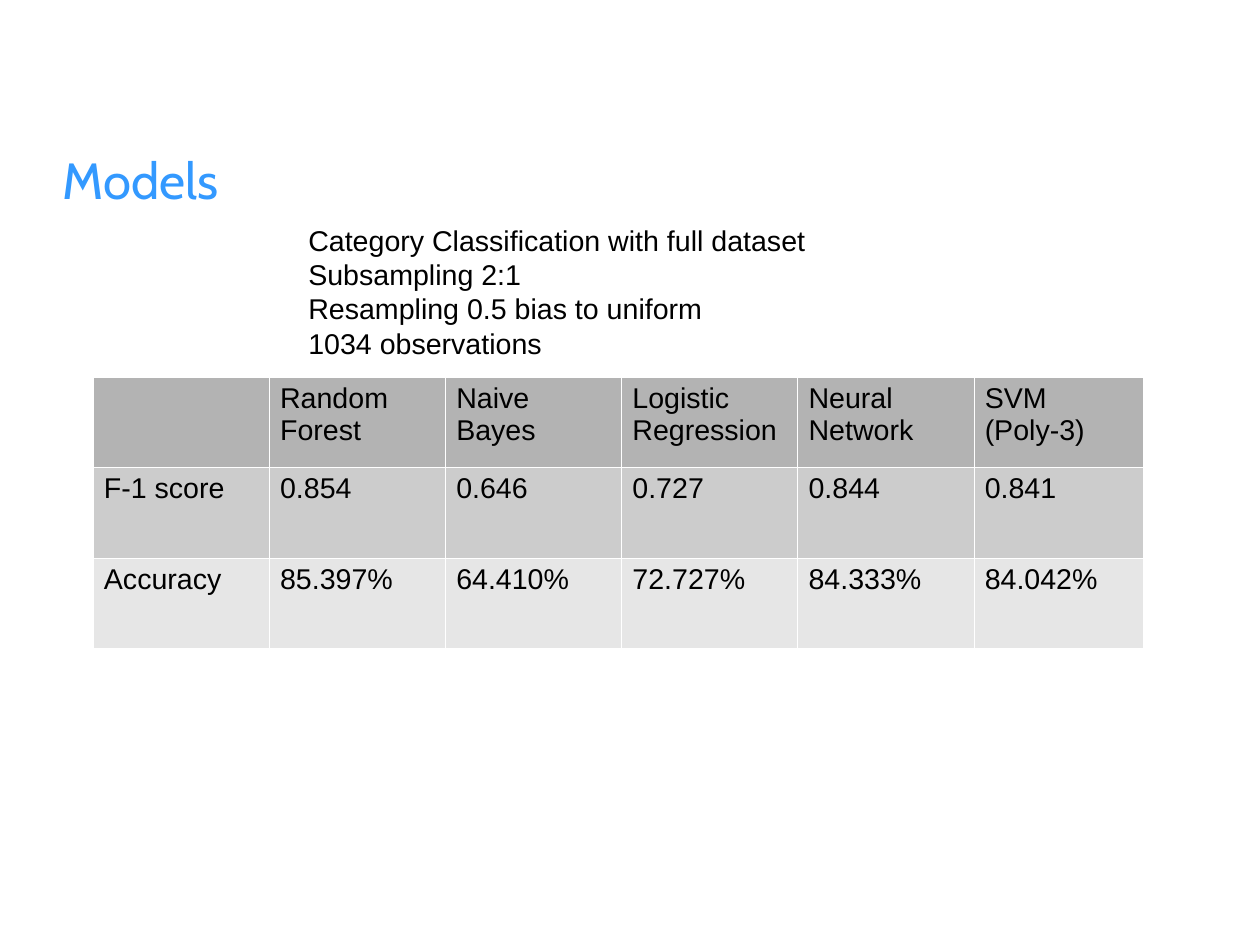
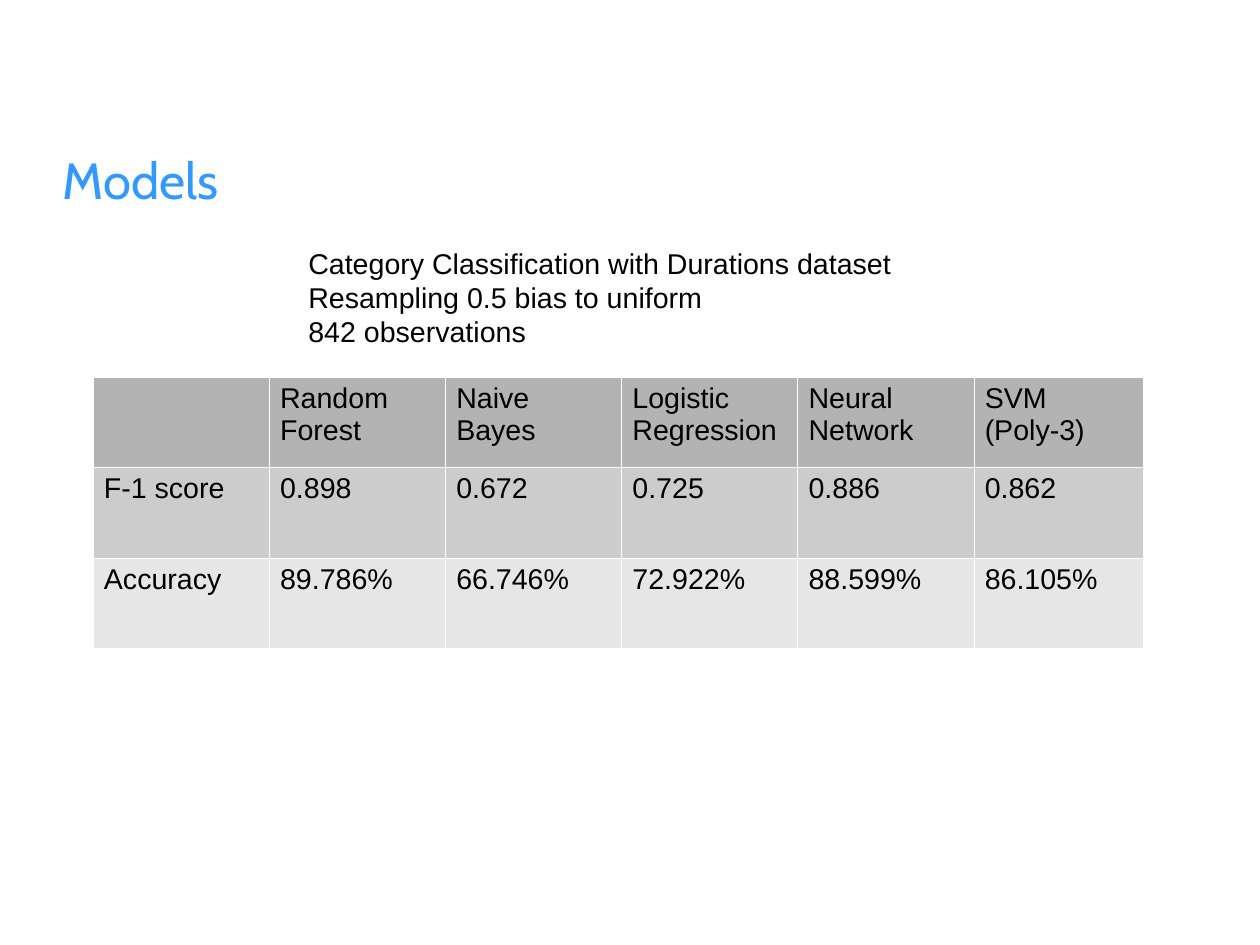
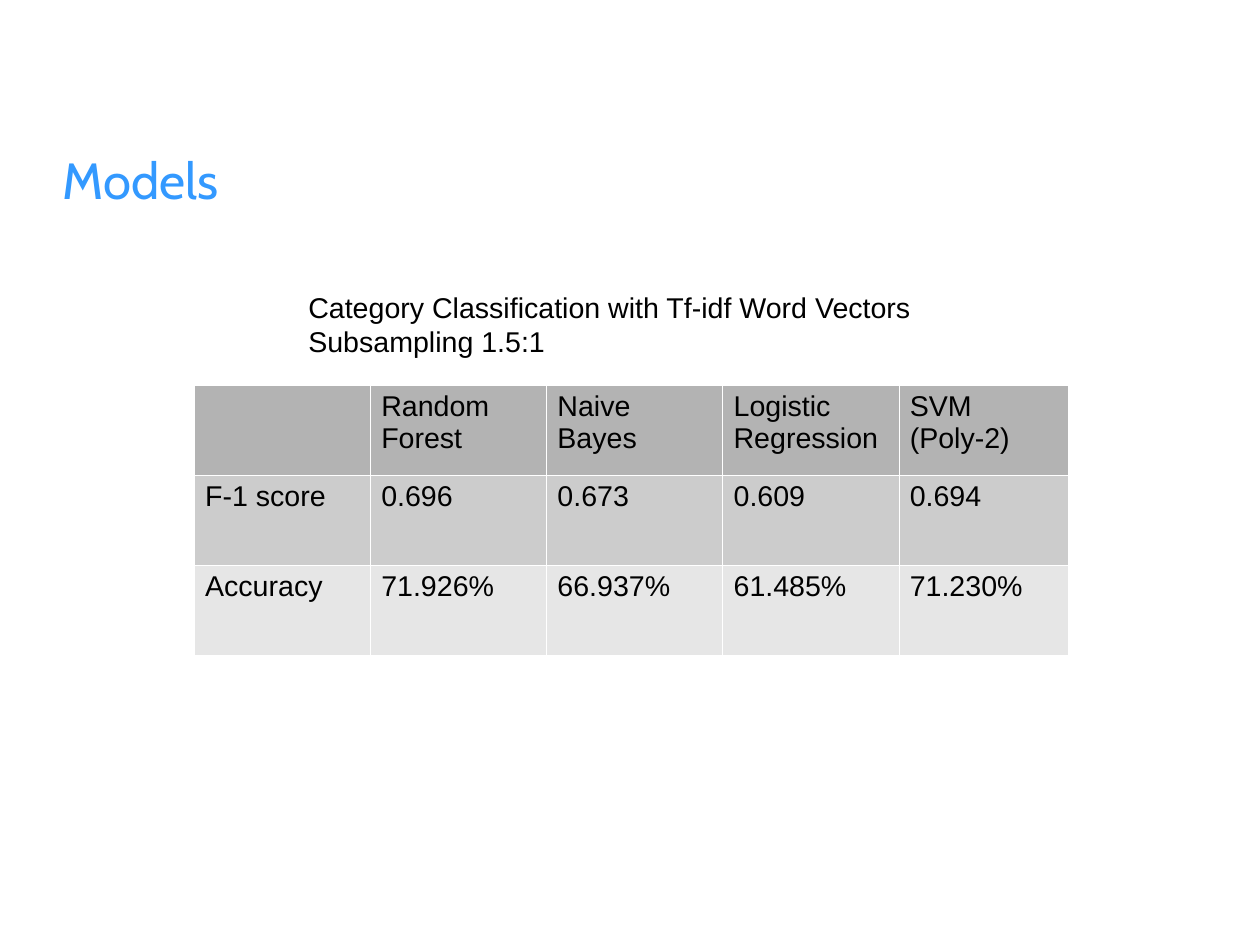
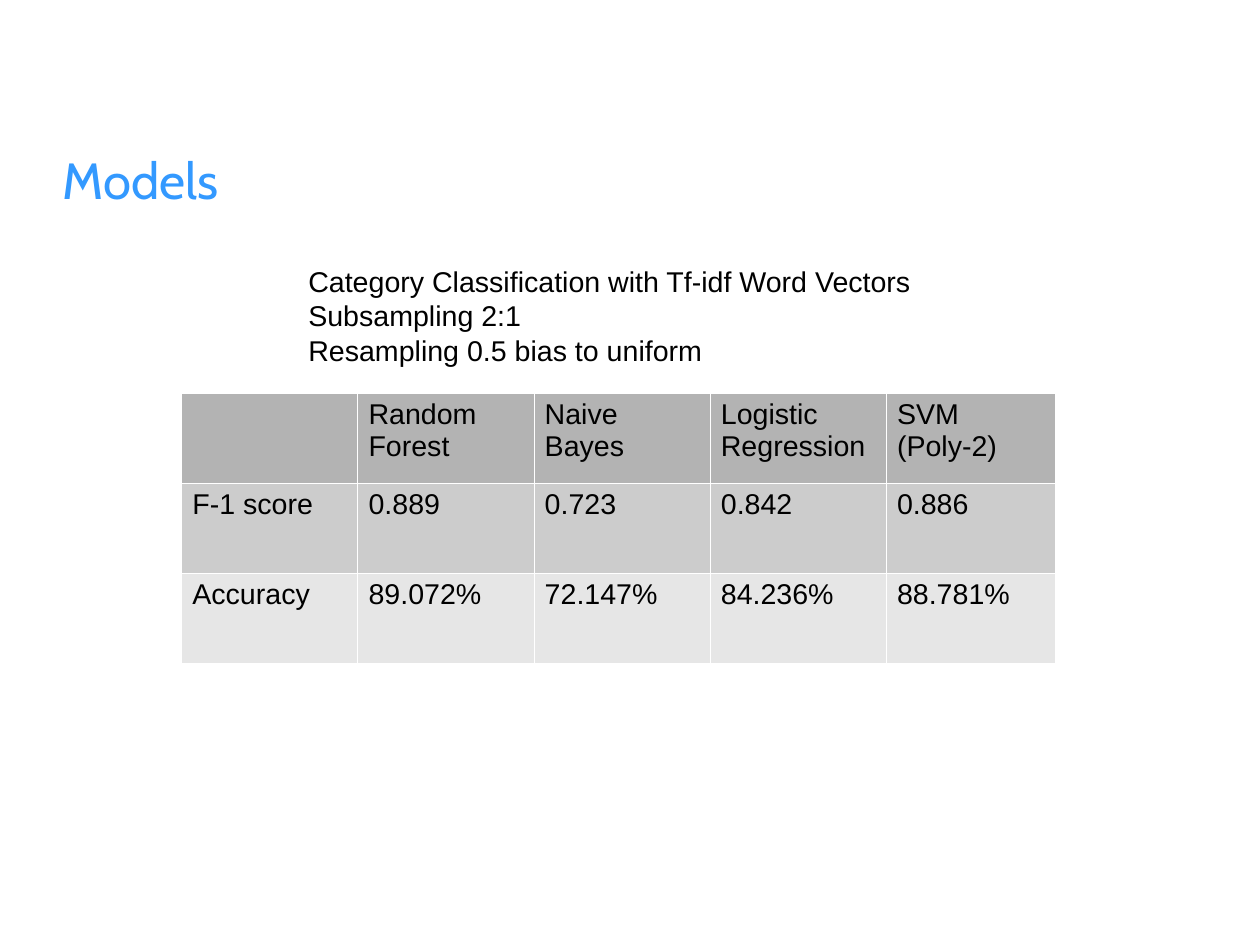
"""Build four slides that compare classification models in tables."""
from lxml.etree import SubElement
from pptx import Presentation
from pptx.dml.color import RGBColor
from pptx.enum.text import MSO_ANCHOR as Anchor
from pptx.oxml.ns import qn
from pptx.util import Emu, Pt

PX = 3175
PAGE_SIZE = (3175, 2381)
TITLE, TITLE_AREA = "Models", (158, 253, 2857, 397)
NOTE_LEFT, NOTE_WIDTH = 749, 1814
COLUMN, LAST_COLUMN, ROW = 444, 426, 227
INSET = (28, 14)
BLUE, BLACK, WHITE = "3399FF", "000000", "FFFFFF"
ROW_FILLS = ("B3B3B3", "CCCCCC", "E6E6E6")
ROW_NAMES = ("", "F-1 score", "Accuracy")
BORDER_SIDES = ("a:lnL", "a:lnR", "a:lnT", "a:lnB")
BORDER_WIDTH = 762

BASIC_MODELS = ["Random Forest", "Naive Bayes", "Logistic Regression"]
FIVE_MODELS = BASIC_MODELS + ["Neural Network", "SVM\n(Poly-3)"]
FOUR_MODELS = BASIC_MODELS + ["SVM\n(Poly-2)"]
RESAMPLING = "Resampling 0.5 bias to uniform"

SLIDES = [
    {
        "note": ["Category Classification with full dataset", "Subsampling 2:1",
                 RESAMPLING, "1034 observations"],
        "note_top": 547, "note_height": 455, "table_at": (234, 951),
        "models": FIVE_MODELS,
        "scores": ["0.854", "0.646", "0.727", "0.844", "0.841"],
        "accuracy": ["85.397%", "64.410%", "72.727%", "84.333%", "84.042%"],
    },
    {
        "note": ["Category Classification with Durations dataset",
                 RESAMPLING, "842 observations"],
        "note_top": 605, "note_height": 455, "table_at": (234, 951),
        "models": FIVE_MODELS,
        "scores": ["0.898", "0.672", "0.725", "0.886", "0.862"],
        "accuracy": ["89.786%", "66.746%", "72.922%", "88.599%", "86.105%"],
    },
    {
        "note": ["Category Classification with Tf-idf Word Vectors",
                 "Subsampling 1.5:1"],
        "note_top": 717, "note_height": 190, "table_at": (489, 970),
        "models": FOUR_MODELS,
        "scores": ["0.696", "0.673", "0.609", "0.694"],
        "accuracy": ["71.926%", "66.937%", "61.485%", "71.230%"],
    },
    {
        "note": ["Category Classification with Tf-idf Word Vectors",
                 "Subsampling 2:1", RESAMPLING],
        "note_top": 651, "note_height": 271, "table_at": (457, 990),
        "models": FOUR_MODELS,
        "scores": ["0.889", "0.723", "0.842", "0.886"],
        "accuracy": ["89.072%", "72.147%", "84.236%", "88.781%"],
    },
]


def px(*lengths):
    return [Emu(length * PX) for length in lengths]


def color(value):
    return RGBColor.from_string(value)


def write(frame, text, size=18, font="Arial", fill=BLACK, spacing=None):
    frame.text = text
    for para in frame.paragraphs:
        para.font.size = Pt(size)
        if spacing:
            para.line_spacing = Pt(spacing)
        for span in para.runs:
            span.font.size = Pt(size)
            span.font.name = font
            span.font.color.rgb = color(fill)


def set_margins(holder, inset):
    across, down = px(*inset)
    holder.margin_left = holder.margin_right = across
    holder.margin_top = holder.margin_bottom = down


def add_text(page, area, text, anchor=Anchor.TOP, inset=INSET, **style):
    frame = page.shapes.add_textbox(*px(*area)).text_frame
    frame.word_wrap = True
    frame.vertical_anchor = anchor
    set_margins(frame, inset)
    write(frame, text, **style)


def add_borders(cell):
    properties = cell._tc.get_or_add_tcPr()
    for index, side in enumerate(BORDER_SIDES):
        line = properties.makeelement(qn(side), {"w": str(BORDER_WIDTH)})
        properties.insert(index, line)
        SubElement(SubElement(line, qn("a:solidFill")), qn("a:srgbClr"), val=WHITE)


def add_results(page, at, columns):
    rows = [[name, *values] for name, values in zip(ROW_NAMES, columns)]
    widths = [COLUMN] * (len(rows[0]) - 1) + [LAST_COLUMN]
    size = (sum(widths), ROW * len(rows))
    table = page.shapes.add_table(len(rows), len(widths), *px(*at, *size)).table
    table.first_row = table.horz_banding = False
    for column, width in zip(table.columns, px(*widths)):
        column.width = width
    for row, values, fill in zip(table.rows, rows, ROW_FILLS):
        row.height = px(ROW)[0]
        for cell, value in zip(row.cells, values):
            write(cell.text_frame, value)
            set_margins(cell, INSET)
            cell.fill.solid()
            cell.fill.fore_color.rgb = color(fill)
            add_borders(cell)


def main():
    deck = Presentation()
    deck.slide_width, deck.slide_height = px(*PAGE_SIZE)
    for content in SLIDES:
        page = deck.slides.add_slide(deck.slide_layouts[6])
        add_text(page, TITLE_AREA, TITLE, anchor=Anchor.MIDDLE, inset=(0, 0),
                 size=32, font="Cabin", fill=BLUE)
        add_results(page, content["table_at"],
                    (content["models"], content["scores"], content["accuracy"]))
        note_area = (NOTE_LEFT, content["note_top"], NOTE_WIDTH, content["note_height"])
        add_text(page, note_area, "\n".join(content["note"]), spacing=21.6)
    deck.save("out.pptx")


if __name__ == "__main__":
    main()
